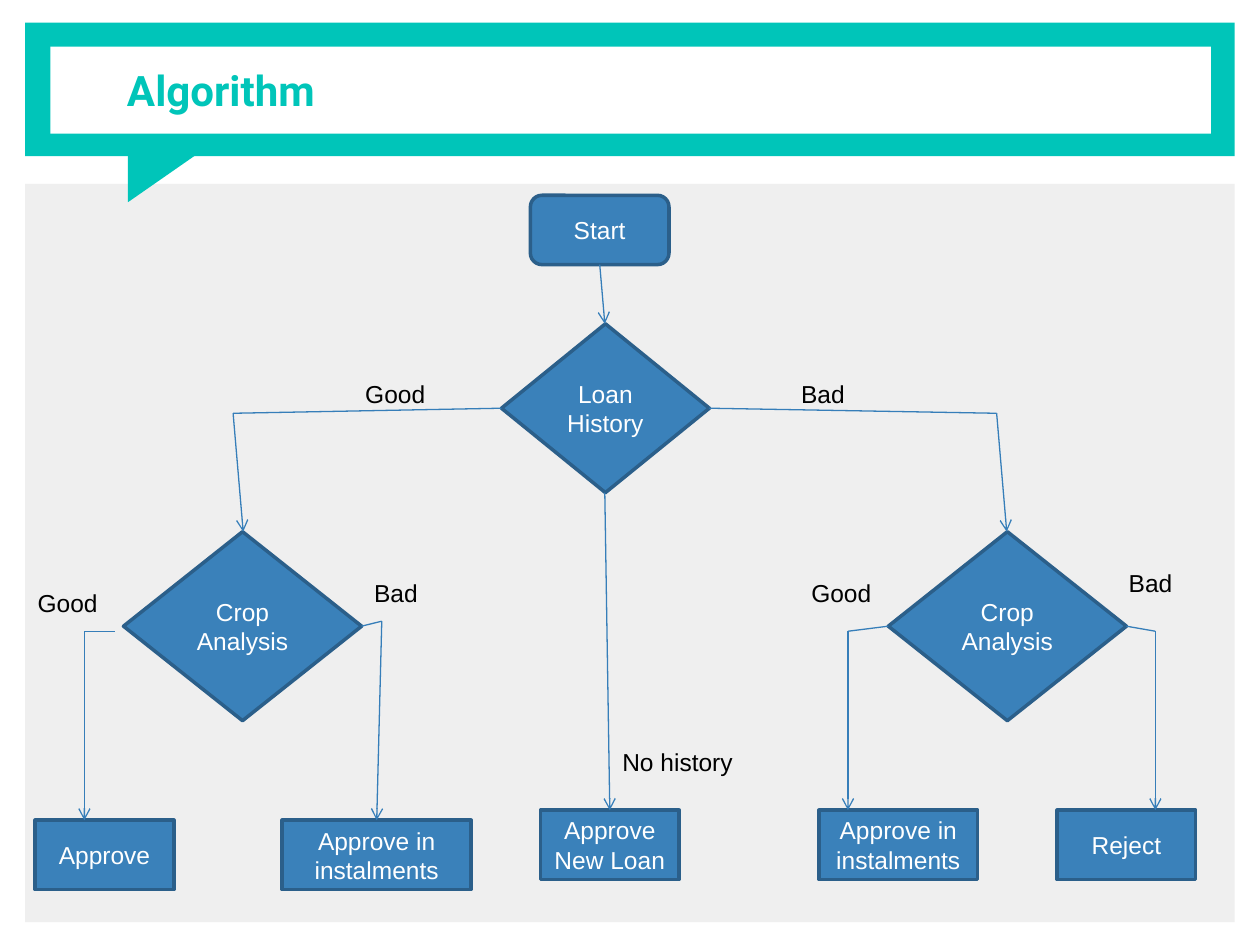
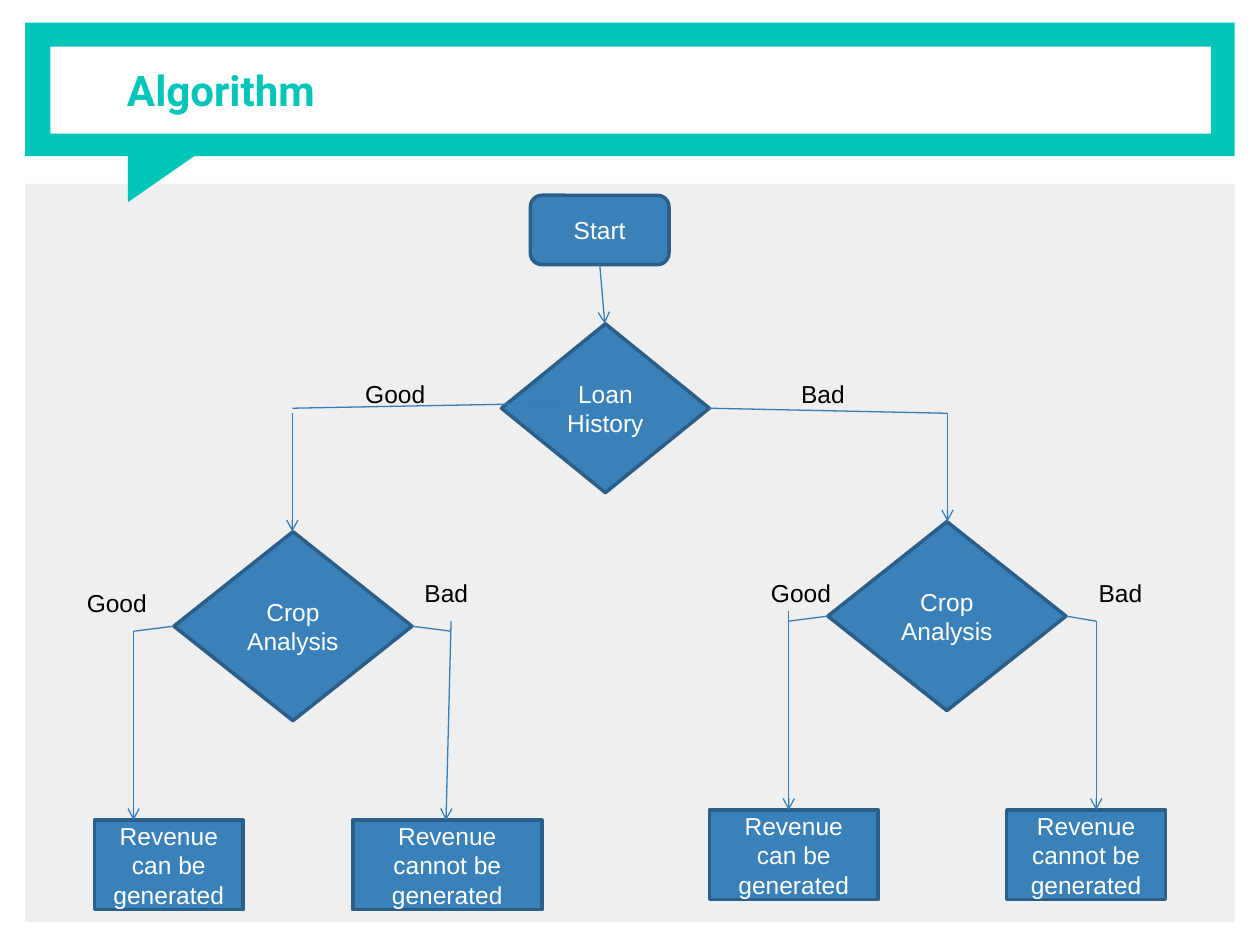
from lxml import etree
from pptx import Presentation
from pptx.dml.color import RGBColor
from pptx.enum.shapes import MSO_CONNECTOR, MSO_SHAPE
from pptx.enum.text import MSO_ANCHOR, MSO_AUTO_SIZE, PP_ALIGN
from pptx.oxml.ns import qn
from pptx.util import Inches, Pt

RECT, TRIANGLE = MSO_SHAPE.RECTANGLE, MSO_SHAPE.RIGHT_TRIANGLE
START = MSO_SHAPE.FLOWCHART_ALTERNATE_PROCESS
DECISION, PROCESS = MSO_SHAPE.FLOWCHART_DECISION, MSO_SHAPE.FLOWCHART_PROCESS
STRAIGHT = MSO_CONNECTOR.STRAIGHT
MIDDLE, TOP = MSO_ANCHOR.MIDDLE, MSO_ANCHOR.TOP
CENTER, LEFT = PP_ALIGN.CENTER, PP_ALIGN.LEFT
FIT_SHAPE = MSO_AUTO_SIZE.SHAPE_TO_FIT_TEXT

TEAL, GREY, WHITE, BLACK = "00C5B9", "EFEFEF", "FFFFFF", "000000"
NODE_FILL, NODE_EDGE, ARROW = "3A81BA", "2B5F8A", "367EB9"
BODY = {"name": "Arial", "size": Pt(14)}
HEADING = {"name": "Roboto", "size": Pt(24), "bold": True}
LABEL_WIDTHS = {"Good": 0.68, "Bad": 0.55, "No history": 1.08}


def rgb(color):
    return RGBColor.from_string(color)


class Deck:
    def __init__(self):
        self.prs = Presentation()
        self.prs.slide_width, self.prs.slide_height = Inches(10), Inches(7.5)
        self.s = None

    def set_text(self, sp, text, font, color, align=LEFT, anchor=TOP):
        tf = sp.text_frame
        tf.text = text
        tf.vertical_anchor = anchor
        for p in tf.paragraphs:
            p.alignment = align
            for r in p.runs:
                for name, value in font.items():
                    setattr(r.font, name, value)
                r.font.color.rgb = rgb(color)
        return tf

    def shape(self, kind, box, fill, edge=None):
        sp = self.s.shapes.add_shape(kind, *map(Inches, box))
        sp.shadow.inherit = False
        sp.fill.solid()
        sp.fill.fore_color.rgb = rgb(fill)
        if edge:
            sp.line.color.rgb = rgb(edge)
            sp.line.width = Pt(2)
        else:
            sp.line.fill.background()
        return sp

    def node(self, kind, text, *box):
        sp = self.shape(kind, box, NODE_FILL, NODE_EDGE)
        self.set_text(sp, text, BODY, WHITE, CENTER, MIDDLE)

    def label(self, text, x, y):
        box = (x, y, LABEL_WIDTHS[text], 0.34)
        sp = self.s.shapes.add_textbox(*map(Inches, box))
        tf = self.set_text(sp, text, BODY, BLACK)
        tf.word_wrap = False
        tf.auto_size = FIT_SHAPE

    def route(self, *points, arrow=True):
        """Join the points with straight lines; the last one may end in an arrow."""
        for start, end in zip(points, points[1:]):
            line = self.s.shapes.add_connector(STRAIGHT, *map(Inches, start + end))
            line.line.color.rgb = rgb(ARROW)
            line.line.width = Pt(0.75)
            sp_pr = line._element.spPr
            if arrow and end == points[-1]:
                ln = sp_pr.find(qn("a:ln"))
                etree.SubElement(ln, qn("a:tailEnd"), type="arrow")
            etree.SubElement(sp_pr, qn("a:effectLst"))

    def slide(self, title):
        self.s = self.prs.slides.add_slide(self.prs.slide_layouts[6])
        # Body panel and speech-bubble title band
        self.shape(RECT, (0.2, 1.46, 9.6, 5.86), GREY)
        self.shape(RECT, (0.2, 0.18, 9.6, 1.06), TEAL)
        self.shape(TRIANGLE, (1.12, 1.02, 0.48, 0.69), TEAL).rotation = 90
        self.shape(RECT, (0.4, 0.37, 9.21, 0.69), WHITE)
        # Title
        box = (0.91, 0.18, 8.7, 1.06)
        sp = self.s.shapes.add_textbox(*map(Inches, box))
        tf = self.set_text(sp, title, HEADING, TEAL, anchor=MIDDLE)
        tf.word_wrap = True
        for side in ("left", "right", "top", "bottom"):
            setattr(tf, f"margin_{side}", Inches(0.1))

    def loan_flow(self, crops, outcomes, routes, labels):
        """Draw the shared start of the flow, then the branches of this slide."""
        self.slide("Algorithm")
        # Decisions
        self.node(START, "Start", 4.21, 1.55, 1.1, 0.55)
        self.node(DECISION, "Loan History", 3.98, 2.57, 1.65, 1.34)
        for text, (x, y) in zip(("Crop Analysis", "Crop\nAnalysis"), crops):
            self.node(DECISION, text, x, y, 1.89, 1.5)
        # Outcomes
        for text, *box in outcomes:
            self.node(PROCESS, text, *box)
        # Arrows
        self.route((4.76, 2.1), (4.8, 2.57))
        for points in routes:
            self.route(*points)
        # Branch labels
        for text, x, y in [("Good", 2.8, 2.96), ("Bad", 6.26, 2.96)] + labels:
            self.label(text, x, y)


def main():
    deck = Deck()

    # Loan approval
    deck.loan_flow(
        crops=[(0.98, 4.22), (7.05, 4.22)],
        outcomes=[
            ("Approve", 0.28, 6.51, 1.1, 0.55),
            ("Approve in instalments", 2.24, 6.51, 1.5, 0.55),
            ("Approve\nNew Loan", 4.29, 6.43, 1.1, 0.55),
            ("Approve in instalments", 6.5, 6.43, 1.26, 0.55),
            ("Reject", 8.39, 6.43, 1.1, 0.55),
        ],
        routes=[
            [(4.8, 3.91), (4.84, 6.43)],
            [(3.98, 3.24), (1.85, 3.28), (1.93, 4.22)],
            [(5.63, 3.24), (7.91, 3.28), (7.99, 4.22)],
            [(0.91, 5.01), (0.67, 5.01), (0.67, 6.51)],
            [(2.87, 4.97), (3.03, 4.93), (2.99, 6.51)],
            [(7.05, 4.97), (6.73, 5.01), (6.73, 6.43)],
            [(8.94, 4.97), (9.17, 5.01), (9.17, 6.43)],
        ],
        labels=[
            ("Good", 0.2, 4.62), ("Bad", 2.87, 4.54), ("Good", 6.34, 4.54),
            ("Bad", 8.86, 4.46), ("No history", 4.84, 5.88),
        ],
    )

    # Revenue forecast
    can, cannot = "Revenue can be generated", "Revenue cannot be generated"
    deck.loan_flow(
        crops=[(1.38, 4.22), (6.57, 4.14)],
        outcomes=[
            (can, 0.75, 6.51, 1.18, 0.71),
            (cannot, 2.8, 6.51, 1.5, 0.71),
            (can, 5.63, 6.43, 1.34, 0.71),
            (cannot, 7.99, 6.43, 1.26, 0.71),
        ],
        routes=[
            [(2.32, 3.28), (2.32, 4.22)],
            [(5.63, 3.24), (7.52, 3.28), (7.52, 4.14)],
            [(1.38, 4.97), (1.06, 5.01), (1.06, 6.51)],
            [(3.58, 4.93), (3.54, 6.51)],
            [(6.26, 4.85), (6.26, 6.43)],
            [(8.46, 4.89), (8.7, 4.93), (8.7, 6.43)],
        ],
        labels=[
            ("Good", 0.59, 4.62), ("Bad", 3.27, 4.54),
            ("Good", 6.02, 4.54), ("Bad", 8.62, 4.54),
        ],
    )
    # Branch stubs without arrowheads
    for start, end in [
        ((2.32, 3.24), (4.45, 3.2)),
        ((3.27, 4.97), (3.58, 5.01)),
        ((6.26, 4.93), (6.57, 4.89)),
    ]:
        deck.route(start, end, arrow=False)

    deck.prs.save("out.pptx")


if __name__ == "__main__":
    main()
